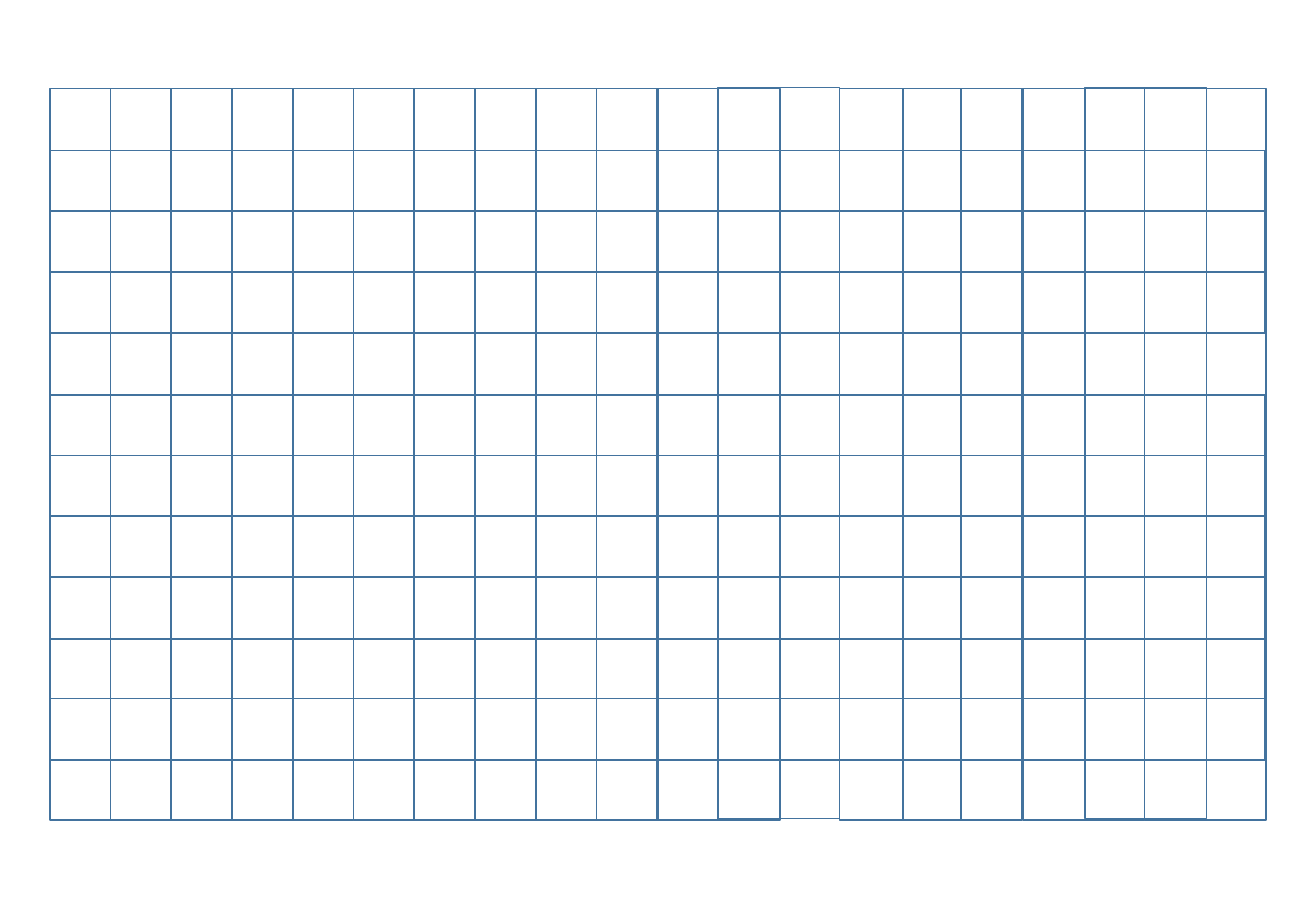
import pptx
import pptx.dml.color
import pptx.enum.shapes
import pptx.util

Inches = pptx.util.Inches
GRID_LINE = "43739E"
PITCH = 0.5
BAND_WIDTH = 2 * PITCH  # neighbouring bands overlap by half


def color(value):
    return pptx.dml.color.RGBColor.from_string(value)


def add_band(slide, left, top, width, height, line_width=1):
    """Add one unfilled outlined rectangle."""
    band = slide.shapes.add_shape(
        pptx.enum.shapes.MSO_SHAPE.RECTANGLE,
        Inches(left), Inches(top), Inches(width), Inches(height))
    band.shadow.inherit = False
    band.fill.background()
    band.line.color.rgb = color(GRID_LINE)
    band.line.width = pptx.util.Pt(line_width)
    return band


def add_columns(slide, left, top, height):
    """Vertical bands, one per half-inch step, with a few small shifts."""
    steps = [*range(12), 13, 14, 17, 16, 18]
    shifts = {10: 0.01, 14: 0.02, 16: 0.01, 17: 0.02, 18: 0.01}
    for step in steps:
        add_band(
            slide,
            left + step * PITCH + shifts.get(step, 0),
            top - (0.01 if step in (11, 17) else 0),
            0.98 if step == 14 else BAND_WIDTH,
            height,
            0.75 if step == 4 else 1)


def add_rows(slide, left, top, width):
    """Horizontal bands: upright bands turned about their centres."""
    band_left = left + (width - BAND_WIDTH) / 2
    turn_offset = (BAND_WIDTH - width) / 2
    for row_top in (0.51, 1.01, 2.52, 3.02, 4.02, 4.53):
        band = add_band(slide, band_left, top + row_top + turn_offset,
                        BAND_WIDTH, width)
        band.rotation = 90


def add_grid(slide, left, top, width, height):
    add_columns(slide, left, top, height)
    add_rows(slide, left, top, width)


presentation = pptx.Presentation()
presentation.slide_width = Inches(10.83)
presentation.slide_height = Inches(7.5)
blank_layout = presentation.slide_layouts[6]
slide = presentation.slides.add_slide(blank_layout)
add_grid(slide, 0.41, 0.73, 10, 6.02)
presentation.save("out.pptx")
